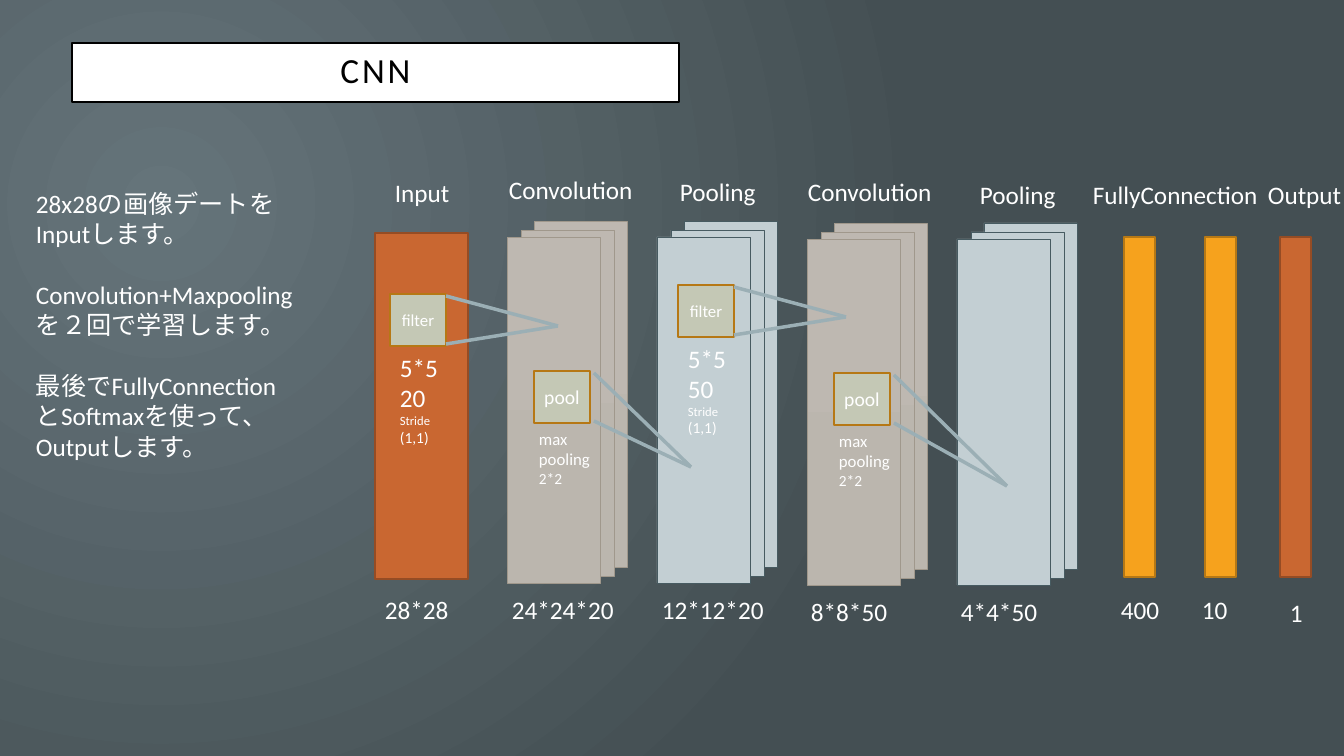
import dataclasses

import pptx
import pptx.dml.color
import pptx.enum.shapes
import pptx.enum.text
import pptx.oxml
import pptx.oxml.ns
import pptx.util


@dataclasses.dataclass(frozen=True)
class Theme:
    font: str = "Calibri"
    white: str = "FFFFFF"
    black: str = "000000"
    glow: str = "65747A"
    dusk: str = "444F53"
    rust: str = "C96731"
    brown: str = "954C24"
    amber: str = "F6A21D"
    ochre: str = "B67815"
    sand: tuple = ("BEB8B1", "BBB6AE")
    taupe: str = "A0988C"
    mist: str = "C3CFD3"
    slate: str = "475B61"
    sage: str = "C4C8B5"
    ray: str = "9BAFB5"
    title: float = 25.2
    body: int = 18
    pool: int = 14
    small: int = 12
    note: int = 11
    tiny: int = 9


class Board:
    """Draws the network diagram on one slide, with lengths in px."""

    def __init__(self, theme):
        self.theme = theme
        self.deck = pptx.Presentation()
        self.deck.slide_width = self.emu(1344)
        self.deck.slide_height = self.emu(756)
        self.slide = self.deck.slides.add_slide(self.deck.slide_layouts[6])
        self.shapes = self.slide.shapes

    def emu(self, px):
        return pptx.util.Emu(round(px * 914400 / 100.8))

    def color(self, code):
        return pptx.dml.color.RGBColor.from_string(code)

    def blend(self, fill, codes, angle=270):
        fill.gradient()
        fill.gradient_angle = angle
        for stop, code, spot in zip(fill.gradient_stops, codes, (0, 1)):
            stop.color.rgb = self.color(code)
            stop.position = spot

    def back(self):
        self.blend(self.slide.background.fill, (self.theme.glow, self.theme.dusk))
        ray = self.slide.element.xpath(".//p:bgPr/a:gradFill/a:lin")[0]
        ray.getparent().replace(ray, pptx.oxml.parse_xml(
            f'<a:path {pptx.oxml.ns.nsdecls("a")} path="circle">'
            '<a:fillToRect l="50000" t="55000" r="125000" b="100000"/></a:path>'))

    def style(self, frame, lines, sizes, code=None, center=False):
        frame.word_wrap = True
        frame.text = "\n".join(lines)
        for para, size in zip(frame.paragraphs, sizes):
            if center:
                para.alignment = pptx.enum.text.PP_ALIGN.CENTER
            for run in para.runs:
                run.font.name = self.theme.font
                run.font.size = pptx.util.Pt(size)
                run.font.color.rgb = self.color(code or self.theme.white)

    def box(self, x, y, w, h, fill, edge, width=1):
        box = self.shapes.add_shape(
            pptx.enum.shapes.MSO_SHAPE.RECTANGLE, *map(self.emu, (x, y, w, h)))
        box.shadow.inherit = False
        if isinstance(fill, tuple):
            self.blend(box.fill, fill)
        else:
            box.fill.solid()
            box.fill.fore_color.rgb = self.color(fill)
        box.line.color.rgb = self.color(edge)
        box.line.width = pptx.util.Pt(width)
        return box

    def text(self, x, y, w, h, lines, sizes):
        box = self.shapes.add_textbox(*map(self.emu, (x, y, w, h)))
        box.text_frame.margin_right = 0
        self.style(box.text_frame, lines, sizes)
        return box.text_frame

    def label(self, x, y, w, line):
        self.text(x, y, w, 40, [line], [self.theme.body])

    def head(self, line):
        box = self.box(72, 43, 607, 59, self.theme.white, self.theme.black, 1.25)
        frame = box.text_frame
        frame.margin_left = frame.margin_right = self.emu(20)
        frame.margin_top = frame.margin_bottom = 0
        self.style(frame, [line], [self.theme.title], self.theme.black, True)
        para = frame.paragraphs[0]
        para.line_spacing = 0.9
        para.runs[0].font._element.set("spc", "200")

    def stack(self, x, y, fill, edge):
        for dx, dy in ((27, -16), (14, -7), (0, 0)):
            self.box(x + dx, y + dy, 93, 346, fill, edge, 0.5)

    def line(self, x, y, tip):
        line = self.shapes.add_connector(
            pptx.enum.shapes.MSO_CONNECTOR.STRAIGHT, *map(self.emu, (x, y, *tip)))
        line.line.color.rgb = self.color(self.theme.ray)
        line.line.width = pptx.util.Pt(2.5)
        line._element.spPr.append(pptx.oxml.parse_xml(
            f'<a:effectLst {pptx.oxml.ns.nsdecls("a")}/>'))

    def kernel(self, x, y, name, size, tip, gap):
        box = self.box(x, y, 56, 52, self.theme.sage, self.theme.ochre)
        self.style(box.text_frame, [name], [size], center=True)
        for dy in (2, 50):
            self.line(x + gap, y + dy, tip)

    def filter(self, x, y, count):
        t = self.theme
        self.kernel(x, y, "filter", t.small, (x + 168, y + 32), 56)
        self.text(x, y + 53, 60, 184, ["5*5", count, "Stride", "(1,1)"],
                  [t.body, t.body, t.tiny, t.note])

    def pool(self, x, y, tip):
        t = self.theme
        self.kernel(x, y, "pool", t.pool, tip, 60)
        self.text(x - 5, y + 53, 76, 131, ["max", "pooling", "2*2"],
                  [t.small, t.small, t.note])

    def story(self, lines):
        frame = self.text(26, 183, 281, 489, lines, [self.theme.body] * len(lines))
        frame.margin_right = self.emu(10)
        for para in frame.paragraphs[:-1]:
            para.space_after = pptx.util.Pt(22)


def main():
    theme = Theme()
    board = Board(theme)
    board.back()
    board.head("CNN")
    board.story(["28x28の画像デートをInputします。",
                 "Convolution+Maxpoolingを２回で学習します。",
                 "最後でFullyConnectionとSoftmaxを使って、Outputします。"])

    board.box(375, 233, 93, 346, theme.rust, theme.brown)
    looks = ((theme.sand, theme.taupe), (theme.mist, theme.slate))
    for i in range(4):
        board.stack(507 + 150 * i, 237 + i // 2 * 2, *looks[i % 2])
    for x, fill, edge in ((1124, theme.amber, theme.ochre),
                          (1205, theme.amber, theme.ochre),
                          (1280, theme.rust, theme.brown)):
        board.box(x, 237, 31, 340, fill, edge)

    board.filter(390, 294, "20")
    board.filter(678, 285, "50")
    board.pool(534, 371, (691, 467))
    board.pool(834, 373, (1007, 486))

    for x, y, w, name in ((385, 172, 89, "Input"), (499, 169, 218, "Convolution"),
                          (670, 171, 101, "Pooling"), (798, 171, 218, "Convolution"),
                          (970, 174, 101, "Pooling"),
                          (1083, 174, 210, "FullyConnection"),
                          (1258, 174, 86, "Output")):
        board.label(x, y, w, name)
    for x, y, w, size in ((375, 589, 89, "28*28"), (502, 589, 129, "24*24*20"),
                          (652, 589, 129, "12*12*20"), (801, 591, 129, "8*8*50"),
                          (951, 591, 129, "4*4*50"), (1111, 589, 89, "400"),
                          (1192, 589, 57, "10"), (1280, 592, 64, "1")):
        board.label(x, y, w, size)
    board.deck.save("out.pptx")


if __name__ == "__main__":
    main()
